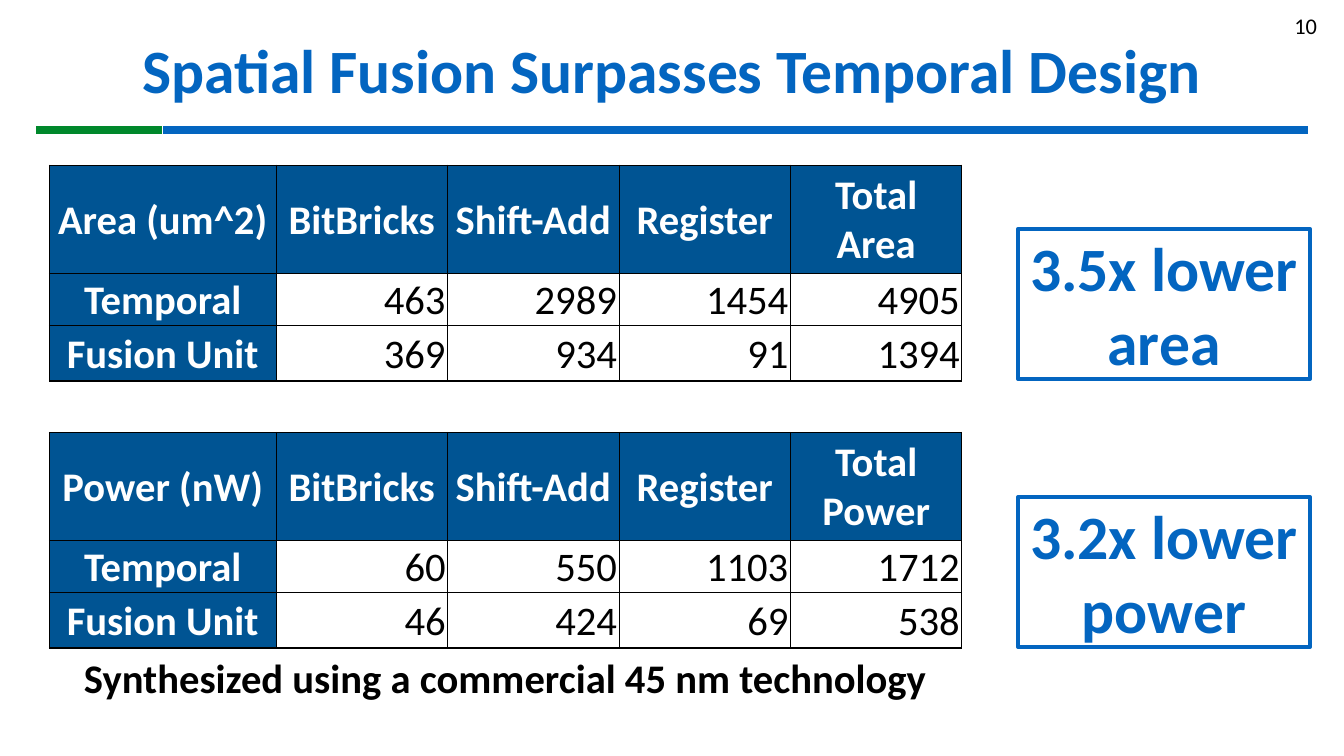
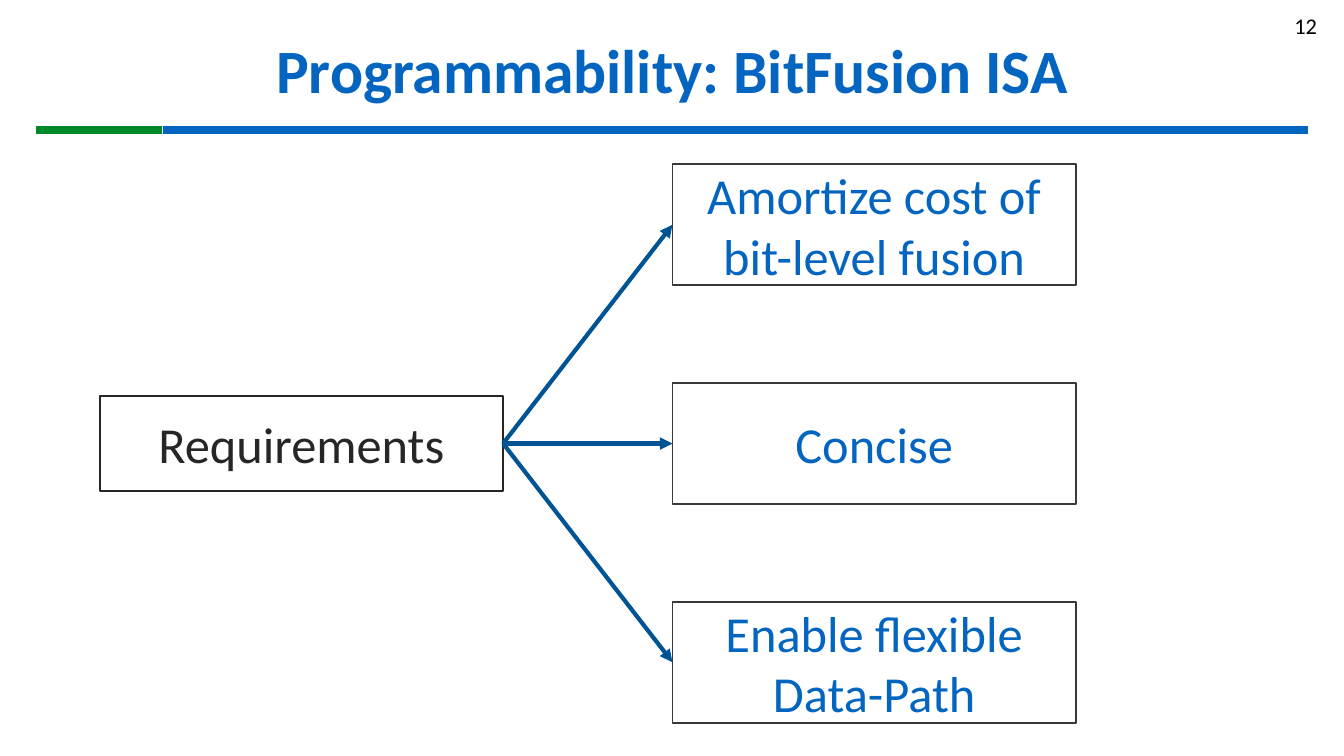
from pptx import Presentation
from pptx import util as u
from pptx.dml.color import RGBColor
from pptx.enum import shapes, text
from pptx.oxml.ns import qn
from lxml import etree

# Shared look
PX = 9144  # 100 px to the inch
FONT = "Calibri"
BLUE = RGBColor(0x03, 0x65, 0xC0)
NAVY = RGBColor(0x00, 0x54, 0x93)
GREEN = RGBColor(0x00, 0x88, 0x2B)
INK = RGBColor(0x26, 0x26, 0x26)
GRAY = RGBColor(0x3B, 0x38, 0x38)
BLACK = RGBColor(0, 0, 0)
WHITE = RGBColor(255, 255, 255)
LEFT, MID, RIGHT = text.PP_ALIGN.LEFT, text.PP_ALIGN.CENTER, text.PP_ALIGN.RIGHT
PLAIN = "{2D5ABB26-0587-4C30-8999-92F81FD0307C}"  # table style without grid

TITLE = dict(size=44, color=BLUE, bold=True)
HEAD = dict(size=29, color=WHITE, bold=True)
BODY = dict(size=29, color=BLACK, bold=False)
NOTE = dict(size=29, color=BLACK, bold=True)
NODE = dict(size=36, color=BLUE)
BARS = [((162, 129), (1297, 129), BLUE), ((36, 129), (161, 129), GREEN)]

# Content
COSTS = [
    [["Area (um^2)", "BitBricks", "Shift-Add", "Register", "Total Area"],
     ["Temporal", "463", "2989", "1454", "4905"],
     ["Fusion Unit", "369", "934", "91", "1394"]],
    [["Power (nW)", "BitBricks", "Shift-Add", "Register", "Total Power"],
     ["Temporal", "60", "550", "1103", "1712"],
     ["Fusion Unit", "46", "424", "69", "538"]],
]
FOOT = "Synthesized using a commercial 45 nm technology"
COLS = [225] + [170] * 4
ROWS = [107, 52, 55, 51, 107, 52, 55, 61]
GAINS = ["3.5x lower area", "3.2x lower power"]
NEEDS = ["Amortize cost of bit-level fusion", "Concise", "Enable flexible Data-Path"]


def px(*vals):
    return [u.Emu(v * PX) for v in vals]


def write(frame, words, look, align=MID, anchor=text.MSO_ANCHOR.MIDDLE):
    """Fill a text frame or a cell with one formatted paragraph."""
    frame.word_wrap = True
    frame.vertical_anchor = anchor
    para = getattr(frame, "text_frame", frame).paragraphs[0]
    para.alignment = align
    run = para.add_run()
    run.text = words
    run.font.name = FONT
    for key, val in look.items():
        if key == "color":
            run.font.color.rgb = val
        else:
            setattr(run.font, key, u.Pt(val) if key == "size" else val)
    return para


def draw(slide, start, end, color, width):
    line = slide.shapes.add_connector(
        shapes.MSO_CONNECTOR.STRAIGHT, *px(*start, *end))
    line.line.color.rgb = color
    line.line.width = u.Pt(width)
    etree.SubElement(line._element.spPr, qn("a:effectLst"))
    return line


def box(slide, area, words, look, edge, width):
    shape = slide.shapes.add_shape(shapes.MSO_SHAPE.RECTANGLE, *px(*area))
    shape.shadow.inherit = False
    shape.fill.background()
    shape.line.color.rgb = edge
    shape.line.width = u.Pt(width)
    write(shape.text_frame, words, look)
    return shape


def page(deck, name, number):
    """Start a slide with its title, bars and number."""
    slide = deck.slides.add_slide(deck.slide_layouts[5])
    title = slide.shapes.title
    title.left, title.top, title.width, title.height = px(92, 0, 1150, 145)
    write(title.text_frame, name, TITLE).line_spacing = 0.9
    for start, end, color in BARS:
        draw(slide, start, end, color, 6)
    label = slide.shapes.add_textbox(*px(1016, 5, 300, 40))
    write(label.text_frame, number, dict(size=16, color=BLACK), RIGHT)
    return slide


def rule(cell, **edges):
    """Add black borders, named by side, with widths in points."""
    props = cell._tc.get_or_add_tcPr()
    for side in "LRTB":
        if side in edges:
            line = etree.SubElement(props, qn("a:ln" + side),
                                    w=str(u.Pt(edges[side])))
            fill = etree.SubElement(line, qn("a:solidFill"))
            etree.SubElement(fill, qn("a:srgbClr"), val=str(BLACK))


def costs(slide):
    grid = slide.shapes.add_table(
        len(ROWS), len(COLS), *px(49, 164, sum(COLS), sum(ROWS))).table
    grid.first_row = grid.horz_banding = False
    grid._tbl.tblPr.find(qn("a:tableStyleId")).text = PLAIN
    for col, wide in zip(grid.columns, COLS):
        col.width = u.Emu(wide * PX)
    for row, high in zip(grid.rows, ROWS):
        row.height = u.Emu(high * PX)

    # Two blocks of three rows, with an empty row between
    last = len(COLS) - 1
    for b, block in enumerate(COSTS):
        for r, row in enumerate(block):
            for c, words in enumerate(row):
                cell = grid.cell(b * 4 + r, c)
                cell.margin_left, cell.margin_right, cell.margin_top, \
                    cell.margin_bottom = px(2, 2, 2, 0)
                rule(cell, L=1 if c < 2 else 0.5,
                     R=1 if c in (0, last) else 0.5,
                     T=1 if r < 2 else 0.5, B=0.5 if r == 1 else 1)
                if r == 0 or c == 0:
                    cell.fill.solid()
                    cell.fill.fore_color.rgb = NAVY
                    write(cell, words, HEAD)
                else:
                    cell.fill.background()
                    write(cell, words, BODY, RIGHT)
    for c in range(len(COLS)):
        rule(grid.cell(3, c), T=1, B=1)
        rule(grid.cell(7, c), T=1)

    # Note across the last row
    foot = grid.cell(7, 0)
    foot.merge(grid.cell(7, last))
    write(foot, FOOT, NOTE, anchor=text.MSO_ANCHOR.BOTTOM)


def main():
    deck = Presentation()
    deck.slide_width, deck.slide_height = px(1333, 750)

    # Cost tables and gains
    slide = page(deck, "Spatial Fusion Surpasses Temporal Design", "10")
    costs(slide)
    for i, words in enumerate(GAINS):
        box(slide, (1010, 227 + 266 * i, 289, 149), words, TITLE, BLUE, 3)

    # Requirements tree
    slide = page(deck, "Programmability: BitFusion ISA", "12")
    root = box(slide, (99, 393, 400, 94), "Requirements",
               dict(NODE, color=INK), INK, 1.25)
    for i, words in enumerate(NEEDS):
        leaf = box(slide, (667, 163 + 217 * i, 400, 120), words, NODE, GRAY, 1.25)
        arrow = draw(slide, (499, 440), (667, 223 + 217 * i), NAVY, 3)
        arrow.begin_connect(root, 3)
        arrow.end_connect(leaf, 1)
        etree.SubElement(arrow.line._get_or_add_ln(), qn("a:tailEnd"),
                         type="triangle")

    deck.save("out.pptx")


if __name__ == "__main__":
    main()
